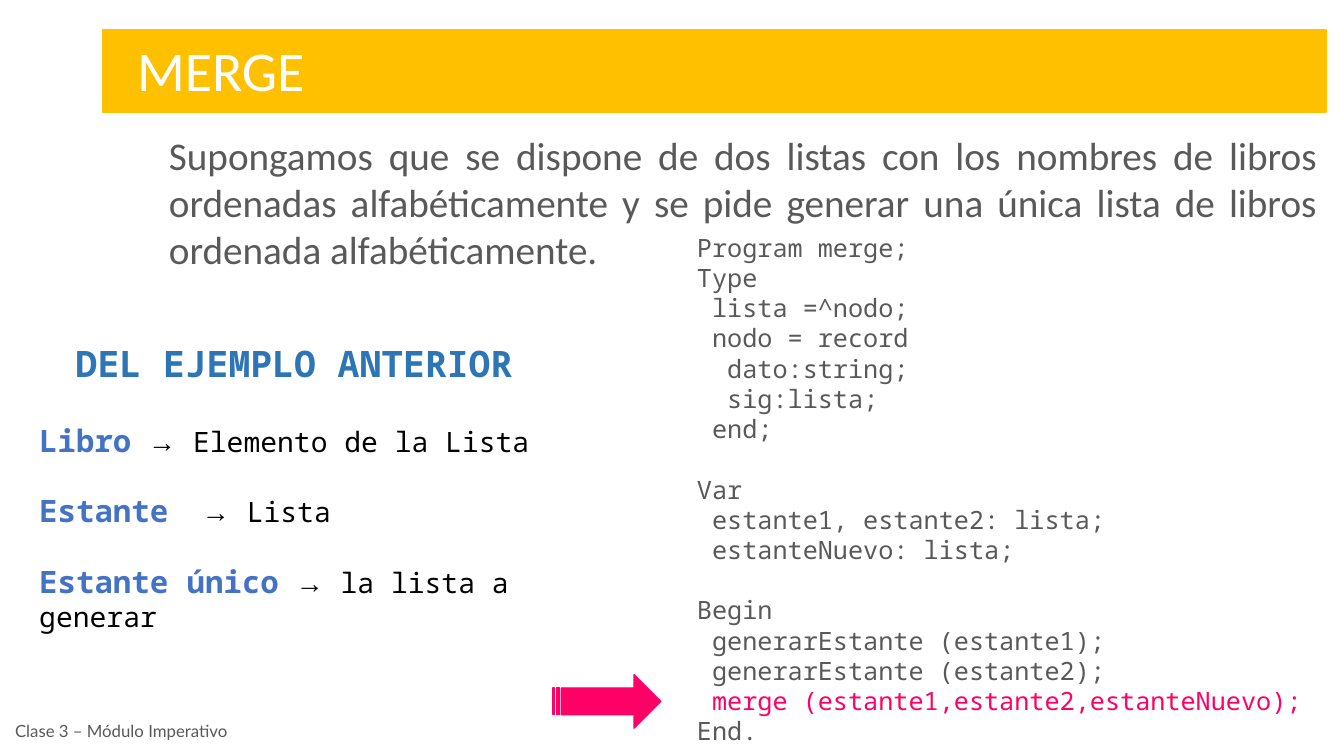
from pptx import Presentation
from pptx.dml.color import RGBColor
from pptx.enum import shapes, text
from pptx.util import Cm, Pt

COLORS = {"amber": "FFC000", "white": "FFFFFF", "gray": "595959", "black": "000000",
          "pink": "FF0066", "blue": "4472C4", "heading": "2E75B6"}
MONO = "Noto Sans Mono"
STATEMENT = ("Supongamos que se dispone de dos listas con los nombres de libros "
             "ordenadas alfabéticamente y se pide generar una única lista de libros "
             "ordenada alfabéticamente.")
TERMS = [("Libro", " ", "Elemento de la Lista"),
         ("Estante", "  ", "Lista"),
         ("Estante único", " ", "la lista a generar")]
CODE_BLOCKS = [
    ["Program merge;", "Type", " lista =^nodo;", " nodo = record",
     "  dato:string;", "  sig:lista;", " end;"],
    ["Var", " estante1, estante2: lista;", " estanteNuevo: lista;"],
    ["Begin", " generarEstante (estante1);", " generarEstante (estante2);",
     " merge (estante1,estante2,estanteNuevo);", "End."],
]
MERGE_CALL = CODE_BLOCKS[2][3]


def style(font, name, size, color, bold=False):
    font.name, font.size, font.bold = name, Pt(size), bold
    font.color.rgb = RGBColor.from_string(COLORS[color])


def add_solid(slide, kind, box, color):
    solid = slide.shapes.add_shape(kind, *map(Cm, box))
    solid.shadow.inherit = False
    solid.fill.solid()
    solid.fill.fore_color.rgb = RGBColor.from_string(COLORS[color])
    solid.line.color.rgb = RGBColor.from_string(COLORS[color])
    solid.line.width = Pt(1)


def add_frame(slide, box):
    frame = slide.shapes.add_textbox(*map(Cm, box)).text_frame
    frame.word_wrap = True
    return frame


def add_line(slide, box, words, name, size, color, bold=False):
    frame = add_frame(slide, box)
    line = frame.paragraphs[0]
    line.text = words
    style(line.font, name, size, color, bold)
    return frame


def add_header(slide, box):
    left, top, width, height = box
    add_solid(slide, shapes.MSO_SHAPE.RECTANGLE, box, "amber")
    title = slide.shapes.title
    slide.shapes._spTree.append(title._element)
    title.left, title.top = Cm(left + 0.61), Cm(top)
    title.width, title.height = Cm(5.38), Cm(height - 0.1)
    frame = title.text_frame
    frame.text = "MERGE"
    frame.word_wrap = False
    frame.auto_size = text.MSO_AUTO_SIZE.NONE
    frame.vertical_anchor = text.MSO_ANCHOR.TOP
    heading = frame.paragraphs[0]
    heading.alignment = text.PP_ALIGN.LEFT
    style(heading.font, "Calibri", 40, "white")


def add_statement(slide, box):
    frame = add_line(slide, box, STATEMENT, "Calibri", 28, "gray")
    frame.paragraphs[0].alignment = text.PP_ALIGN.JUSTIFY


def add_glossary(slide, box):
    left, top, width, height = box
    add_line(slide, (left + 0.92, top, 11.84, 1.35), "DEL EJEMPLO ANTERIOR",
             MONO, 26, "heading", True)
    frame = add_frame(slide, (left, top + 2.03, width, height - 2.03))
    for index, (term, gap, meaning) in enumerate(TERMS):
        entry = frame.paragraphs[0] if index == 0 else frame.add_paragraph()
        if index:
            entry.space_before = Pt(24)
        for words, name, size, color, bold in (
                (term, MONO, 22, "blue", True),
                (gap, MONO, 20, "black", False),
                ("→", "Arial", 20, "black", False),
                (" " + meaning, MONO, 20, "black", False)):
            run = entry.add_run()
            run.text = words
            style(run.font, name, size, color, bold)


def add_program(slide, box):
    left, top, width, height = box
    frame = add_frame(slide, box)
    for block_index, block in enumerate(CODE_BLOCKS):
        for line_index, words in enumerate(block):
            first = block_index == line_index == 0
            line = frame.paragraphs[0] if first else frame.add_paragraph()
            line.text = words
            if block_index and line_index == 0:
                line.space_before = Pt(21.6)
            style(line.font, MONO, 18, "pink" if words == MERGE_CALL else "gray")
    add_solid(slide, shapes.MSO_SHAPE.STRIPED_RIGHT_ARROW,
              (left - 3.38, top + 11.28, 2.72, 1.35), "pink")


def add_footer(slide, box):
    frame = add_line(slide, box, "Clase 3 – Módulo Imperativo", "Lato", 12, "gray")
    frame.vertical_anchor = text.MSO_ANCHOR.MIDDLE


def main():
    deck = Presentation()
    deck.slide_width, deck.slide_height = Cm(33.88), Cm(19.05)
    slide = deck.slides.add_slide(deck.slide_layouts[5])
    add_header(slide, (2.59, 0.76, 30.84, 2.06))
    add_footer(slide, (0.13, 17.91, 5.92, 1.02))
    add_statement(slide, (4.01, 3.18, 29.44, 3.81))
    add_program(slide, (17.32, 5.72, 16, 13.21))
    add_glossary(slide, (0.74, 8.46, 15.06, 8.48))
    deck.save("out.pptx")


if __name__ == "__main__":
    main()
